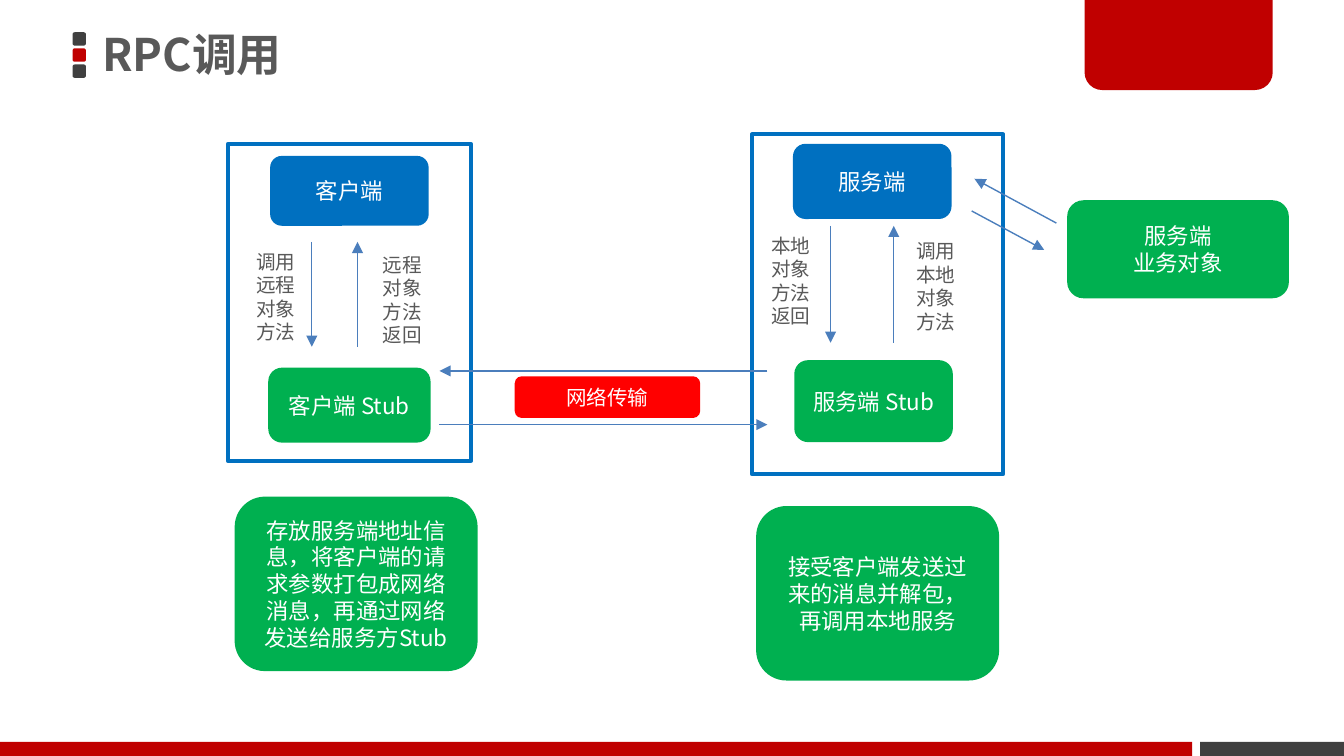
from lxml import etree
from pptx import Presentation
from pptx import util as u
from pptx.dml.color import RGBColor
from pptx.enum import shapes, text
from pptx.oxml.ns import qn

WIDTH, HEIGHT = 10, 10 * 9 / 16
CJK, LATIN = "Noto Sans CJK SC", "Calibri"
RED, DARK, BLUE, GREEN = "C00000", "404040", "0070C0", "00B050"
WHITE, GREY, ARROW = "FFFFFF", "595959", "4B7EBC"
KIND = shapes.MSO_SHAPE

TITLE = "RPC调用"
SIDES = [
    {
        "centre": 2.6,
        "frame": (1.07, 1.81, 2.36),
        "boxes": [
            ("客户端", 0, 1.16, 1.18, 0.52, BLUE, None),
            ("客户端 Stub", 0, 2.75, 1.18, 0.53, GREEN, GREEN),
            ("存放服务端地址信息，将客户端的请求参数打包成网络消息，再通过网络发送给服务方Stub",
             0.05, 3.71, 1.78, 1.27, GREEN, GREEN),
        ],
        "calls": (-0.28, 0.06, 1.8, 2.58),
        "labels": [
            (["调用", "远程", "对象", "方法"], -0.79, 1.81),
            (["远程", "对象", "方法", "返回"], 0.15, 1.83),
        ],
    },
    {
        "centre": 6.53,
        "frame": (1, 1.87, 2.53),
        "boxes": [
            ("服务端", -0.04, 1.07, 1.18, 0.56, BLUE, None),
            ("服务端 Stub", -0.03, 2.68, 1.18, 0.61, GREEN, None),
            ("接受客户端发送过来的消息并解包，再调用本地服务",
             0, 3.78, 1.78, 1.27, GREEN, GREEN),
        ],
        "calls": (-0.35, 0.12, 1.68, 2.55),
        "labels": [
            (["本地", "对象", "方法", "返回"], -0.89, 1.69),
            (["调用", "本地", "对象", "方法"], 0.19, 1.73),
        ],
    },
]
NETWORK = ("网络传输", (3.83, 2.8, 1.38, 0.31))
BUSINESS = (["服务端", "业务对象"], (7.94, 1.49, 1.65, 0.73))
LINKS = [
    (3.27, 3.16, 5.71, 3.16),
    (5.71, 2.76, 3.27, 2.76),
    (7.23, 1.57, 7.77, 1.86),
    (7.86, 1.66, 7.25, 1.33),
]


def colour(value):
    """Turn a hex string into a colour."""
    return RGBColor.from_string(value)


def inches(values):
    """Convert a sequence of numbers to lengths."""
    return [u.Inches(value) for value in values]


def write(frame, lines, size, font, value, align=None, bold=None):
    """Write one paragraph per line in a single style."""
    for index, line in enumerate(lines):
        paragraph = frame.add_paragraph() if index else frame.paragraphs[0]
        paragraph.alignment = align
        run = paragraph.add_run()
        run.text = line
        run.font.size, run.font.name, run.font.bold = u.Pt(size), font, bold
        run.font.color.rgb = colour(value)
        if font == CJK:
            etree.SubElement(run.font._element, qn("a:ea"), typeface=font)


def add_box(slide, kind, place, fill=None, line=None, lines=(), size=12, font=CJK):
    """Add a flat preset shape with optional centred text."""
    shape = slide.shapes.add_shape(kind, *inches(place))
    shape.shadow.inherit = False
    for part, value in ((shape.fill, fill), (shape.line.fill, line)):
        if value:
            part.solid()
            part.fore_color.rgb = colour(value)
        else:
            part.background()
    if line:
        shape.line.width = u.Pt(2)
    shape.text_frame.vertical_anchor = text.MSO_ANCHOR.MIDDLE
    write(shape.text_frame, lines, size, font, WHITE, text.PP_ALIGN.CENTER)
    return shape


def add_arrow(slide, points):
    """Add a thin straight arrow from the first point to the second."""
    arrow = slide.shapes.add_connector(shapes.MSO_CONNECTOR.STRAIGHT, *inches(points))
    arrow.line.width = u.Pt(0.75)
    arrow.line.color.rgb = colour(ARROW)
    etree.SubElement(arrow.line._get_or_add_ln(), qn("a:tailEnd"), type="triangle")
    etree.SubElement(arrow._element.spPr, qn("a:effectLst"))


def add_label(slide, lines, left, top):
    """Add a narrow stacked label."""
    label = slide.shapes.add_textbox(*inches((left, top, 0.5, 0.2 * len(lines))))
    label.text_frame.word_wrap = False
    write(label.text_frame, lines, 10.5, LATIN, GREY)


def add_decor(slide):
    """Add the title marker, the corner tab and the footer bars."""
    for row, value in enumerate((DARK, RED, DARK)):
        add_box(slide, KIND.ROUNDED_RECTANGLE, (0.54, 0.24 + 0.12 * row, 0.1, 0.1), value)
    tab = add_box(slide, KIND.ROUND_2_SAME_RECTANGLE, (8.07, -0.02, 1.4, 0.69), RED)
    tab.adjustments[0], tab.adjustments[1] = 0, 0.19
    for left, right, value in ((8.93, WIDTH, DARK), (0, 8.87, RED)):
        add_box(slide, KIND.RECTANGLE, (left, 5.52, right - left, HEIGHT - 5.52), value)


def add_title(slide):
    """Place and format the title placeholder."""
    title = slide.shapes.title
    title.left, title.top, title.width, title.height = inches((0.69, -0.02, 5.89, 0.89))
    frame = title.text_frame
    frame.margin_left = frame.margin_right = u.Inches(0.07)
    frame.margin_top = frame.margin_bottom = u.Inches(0.04)
    frame.vertical_anchor = text.MSO_ANCHOR.MIDDLE
    write(frame, [TITLE], 24, CJK, GREY, text.PP_ALIGN.LEFT, True)
    frame.paragraphs[0].line_spacing = 0.9


def add_side(slide, side):
    """Add one end of the call around its centre line."""
    centre = side["centre"]
    top, width, height = side["frame"]
    add_box(slide, KIND.RECTANGLE, (centre - width / 2, top, width, height), line=BLUE)
    for words, shift, top, width, height, fill, line in side["boxes"]:
        place = (centre + shift - width / 2, top, width, height)
        add_box(slide, KIND.ROUNDED_RECTANGLE, place, fill, line, [words])
    down, up, top, bottom = side["calls"]
    add_arrow(slide, (centre + down, top, centre + down, bottom))
    add_arrow(slide, (centre + up, bottom, centre + up, top))
    for lines, shift, top in side["labels"]:
        add_label(slide, lines, centre + shift, top)


def main():
    """Build and save the slide."""
    presentation = Presentation()
    presentation.slide_width, presentation.slide_height = inches((WIDTH, HEIGHT))
    slide = presentation.slides.add_slide(presentation.slide_layouts[5])
    add_decor(slide)
    add_title(slide)
    for side in SIDES:
        add_side(slide, side)
    words, place = NETWORK
    add_box(slide, KIND.ROUNDED_RECTANGLE, place, "FF0000", None, [words], 11, LATIN)
    lines, place = BUSINESS
    add_box(slide, KIND.ROUNDED_RECTANGLE, place, GREEN, None, lines)
    for points in LINKS:
        add_arrow(slide, points)
    presentation.save("out.pptx")


if __name__ == "__main__":
    main()
